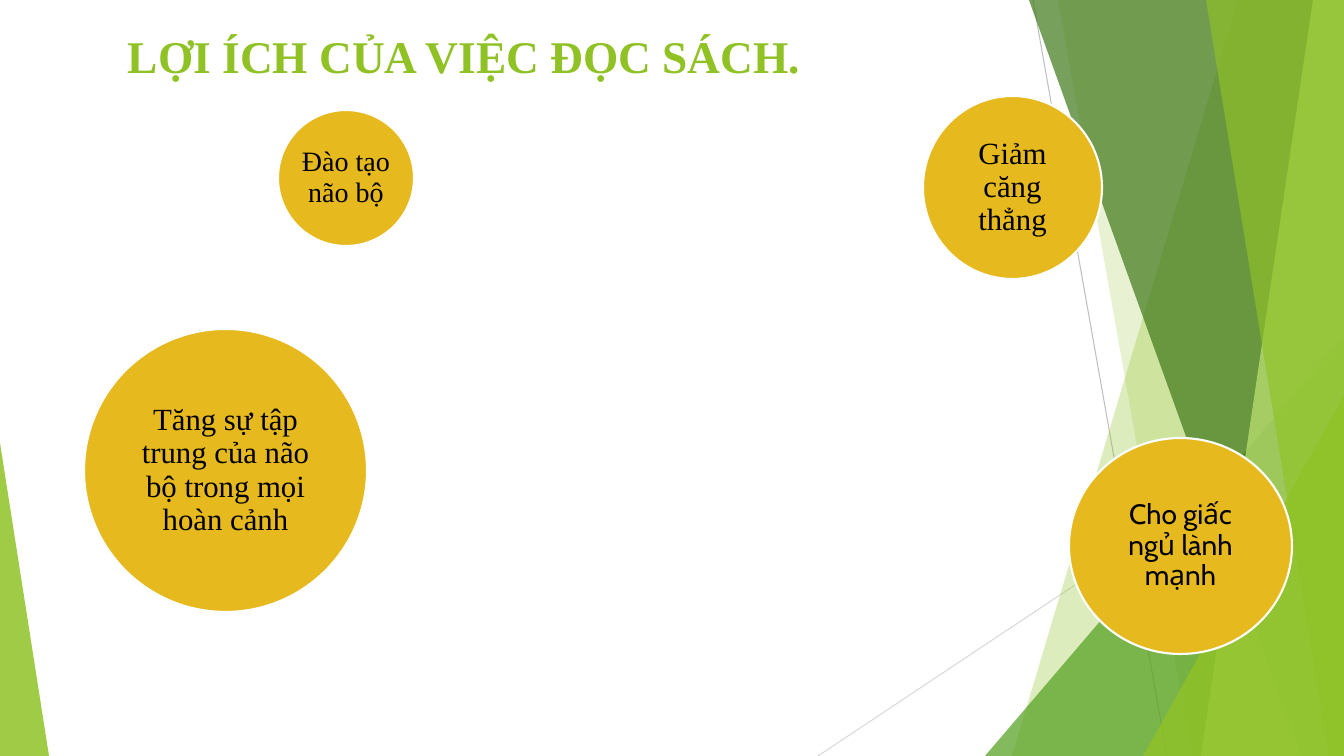
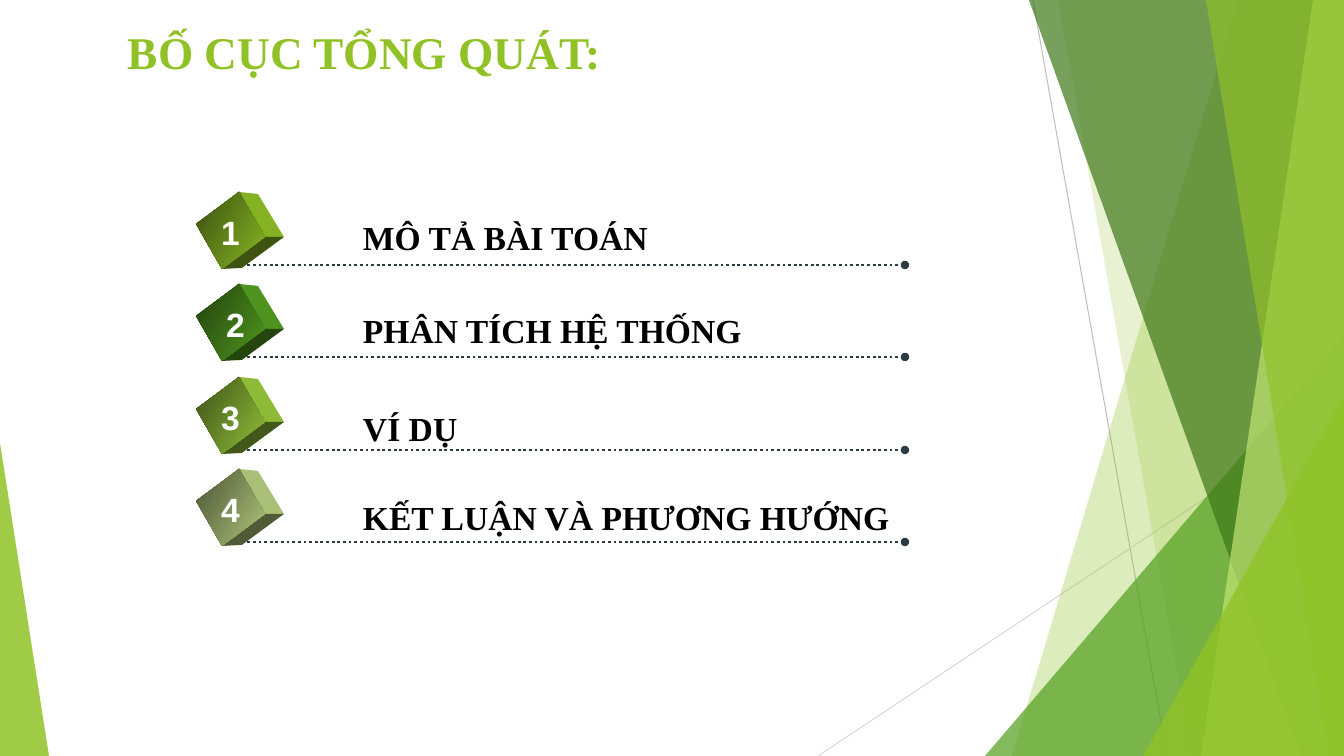
from pptx import Presentation
from pptx.dml.color import RGBColor
from pptx.enum.dml import MSO_LINE
from pptx.enum.shapes import MSO_CONNECTOR, MSO_SHAPE
from pptx.enum.text import MSO_ANCHOR, MSO_AUTO_SIZE, PP_ALIGN
from pptx.oxml.ns import qn
from pptx.util import Emu, Pt
from lxml.etree import SubElement

SCALE = 914400 / 100.8
WIDTH, HEIGHT = 1344, 756
SERIF, SANS, ROUNDED = "Times New Roman", "Arial", "Cabin"
LIME, GREEN, FOREST, PALE = "90C226", "54A021", "3F7819", "C0E474"
GOLD, SLATE, BLACK, WHITE = "E6B91E", "2C3C43", "000000", "FFFFFF"

BENEFITS = [
    ("Đào tạo não bộ", (278, 110, 136, 136), 20, SERIF),
    ("Giảm căng thẳng", (923, 96, 179, 183), 22, SERIF),
    ("Cho giấc ngủ lành mạnh", (1069, 438, 223, 216), 20, ROUNDED),
    ("Tăng sự tập trung của não bộ trong mọi hoàn cảnh", (84, 329, 283, 283), 22, SERIF),
]
CHAPTERS = [
    ("MÔ TẢ BÀI TOÁN", LIME, 15, 20),
    ("PHÂN TÍCH HỆ THỐNG", GREEN, 20, 21),
    ("VÍ DỤ", "99CA3C", 15, 26),
    ("KẾT LUẬN VÀ PHƯƠNG HƯỚNG", "B9D181", 15, 23),
]


def px(length):
    return Emu(round(length * SCALE))


def place(box):
    return [px(length) for length in box]


def colour(value):
    return RGBColor.from_string(value)


def shade(value, factor):
    return "".join(f"{round(int(value[i:i + 2], 16) * factor):02X}" for i in (0, 2, 4))


def paint(shape, value, opacity=100):
    shape.shadow.inherit = False
    shape.line.fill.background()
    shape.fill.solid()
    shape.fill.fore_color.rgb = colour(value)
    if opacity < 100:
        tint = shape.element.xpath("./p:spPr/a:solidFill/a:srgbClr")[0]
        SubElement(tint, qn("a:alpha")).set("val", str(opacity * 1000))
    return shape


def add_polygon(shapes, points):
    builder = shapes.build_freeform(*points[0], scale=SCALE)
    builder.add_line_segments(points[1:], close=True)
    return builder.convert_to_shape()


def add_triangle(shapes, box, tip):
    triangle = shapes.add_shape(MSO_SHAPE.ISOSCELES_TRIANGLE, *place(box))
    triangle.adjustments[0] = tip
    return triangle


def add_line(shapes, ends, value, weight):
    line = shapes.add_connector(MSO_CONNECTOR.STRAIGHT, *place(ends))
    line.line.color.rgb = colour(value)
    line.line.width = Pt(weight)
    SubElement(line.element.spPr, qn("a:effectLst"))
    return line


def write(frame, text, size, font, value, bold=False, align=PP_ALIGN.LEFT, inset=0):
    frame.word_wrap = True
    frame.auto_size = MSO_AUTO_SIZE.NONE
    frame.vertical_anchor = MSO_ANCHOR.MIDDLE
    frame.margin_left = frame.margin_right = px(inset)
    frame.margin_top = frame.margin_bottom = px(inset)
    para = frame.paragraphs[0]
    para.text = text
    para.alignment = align
    para.font.size = Pt(size)
    para.font.name = font
    para.font.bold = bold
    para.font.color.rgb = colour(value)
    return para


def add_text(page, box, *style, **options):
    write(page.shapes.add_textbox(*place(box)).text_frame, *style, **options)


def add_backdrop(page, layout):
    group = page.shapes.add_group_shape()
    shapes = group.shapes

    def band(top, bottom, value, opacity):
        corners = [(top, 0), (WIDTH, 0), (WIDTH, HEIGHT), (bottom, HEIGHT)]
        paint(add_polygon(shapes, corners), value, opacity)

    def wedge(left, top, width, tip, value, opacity):
        box = (left, top, width, HEIGHT - top)
        paint(add_triangle(shapes, box, tip), value, opacity)

    add_line(shapes, (1033, 0, 1167, HEIGHT), "BFBFBF", 0.75)
    add_line(shapes, (WIDTH, 406, 818, HEIGHT), "D9D9D9", 0.75)
    band(1238, 1012, LIME, 30)
    band(1058, 1192, LIME, 20)
    wedge(985, 336, 359, 1, GREEN, 72)
    band(1029, 1301, FOREST, 70)
    band(1313, 1201, PALE, 70)
    band(1206, 1329, LIME, 65)
    wedge(1143, 396, 201, 1, LIME, 80)
    wedge(0, 443, 49, 0, LIME, 85)
    for number, node in enumerate(group.element.xpath(".//p:cNvPr"), 100):
        node.set("id", str(number))
    layout.shapes.element.insert(2, group.element)


def add_title(page, text, box):
    title = page.shapes.title
    title.left, title.top, title.width, title.height = place(box)
    write(title.text_frame, text, 32.4, SERIF, LIME, bold=True)
    title.text_frame.margin_left = px(10)
    title.text_frame.margin_bottom = px(4)
    title.text_frame.vertical_anchor = MSO_ANCHOR.BOTTOM


def add_bubble(page, text, box, size, font):
    bubble = paint(page.shapes.add_shape(MSO_SHAPE.OVAL, *place(box)), GOLD)
    bubble.line.color.rgb = colour(WHITE)
    bubble.line.width = Pt(1.5)
    para = write(bubble.text_frame, text, size, font, BLACK, align=PP_ALIGN.CENTER, inset=3)
    para.line_spacing = 0.9


def add_cube(page, left, top, value):
    def face(*points):
        corners = [(left + x, top + y) for x, y in points]
        return paint(add_polygon(page.shapes, corners), value)

    west, north, east, south = (0, 32), (43, 0), (69, 45), (26, 77)
    far_north, far_east, far_south = (62, 2), (88, 45), (46, 76)
    side = face(north, far_north, far_east, east)
    side.fill.fore_color.rgb = colour(shade(value, 0.92))
    base = face(south, east, far_east, far_south)
    base.fill.fore_color.rgb = colour(shade(value, 0.43))
    front = face(west, north, east, south)
    front.fill.gradient()
    front.fill.gradient_angle = 330
    for stop, factor in zip(front.fill.gradient_stops, (0.4, 0.95)):
        stop.color.rgb = colour(shade(value, factor))


def add_chapter(page, left, top, number, chapter):
    label, value, digit_left, label_top = chapter
    rule = add_line(page.shapes, (left + 40, top + 73, left + 709, top + 73), SLATE, 2)
    rule.line.dash_style = MSO_LINE.ROUND_DOT
    SubElement(rule.line._get_or_add_ln(), qn("a:tailEnd")).set("type", "oval")
    add_cube(page, left, top, value)
    add_text(page, (left + digit_left, top + 15, 39, 50), str(number), 24, SANS, WHITE,
             bold=True, align=PP_ALIGN.CENTER)
    add_text(page, (left + 167, top + label_top, 560, 50), label, 24, SERIF, BLACK, bold=True)


def build_benefits(page):
    add_title(page, "LỢI ÍCH CỦA VIỆC ĐỌC SÁCH.", (118, 20, 772, 67))
    for benefit in BENEFITS:
        add_bubble(page, *benefit)


def build_outline(page):
    add_title(page, "BỐ CỤC TỔNG QUÁT:", (118, 16, 1109, 67))
    for index, chapter in enumerate(CHAPTERS):
        add_chapter(page, 196, 192 + round(92.4 * index), index + 1, chapter)


def main():
    deck = Presentation()
    deck.slide_width, deck.slide_height = px(WIDTH), px(HEIGHT)
    layout = deck.slide_layouts.get_by_name("Title Only")
    pages = [deck.slides.add_slide(layout) for _ in range(2)]
    add_backdrop(pages[0], layout)
    build_benefits(pages[0])
    build_outline(pages[1])
    deck.save("out.pptx")


if __name__ == "__main__":
    main()
